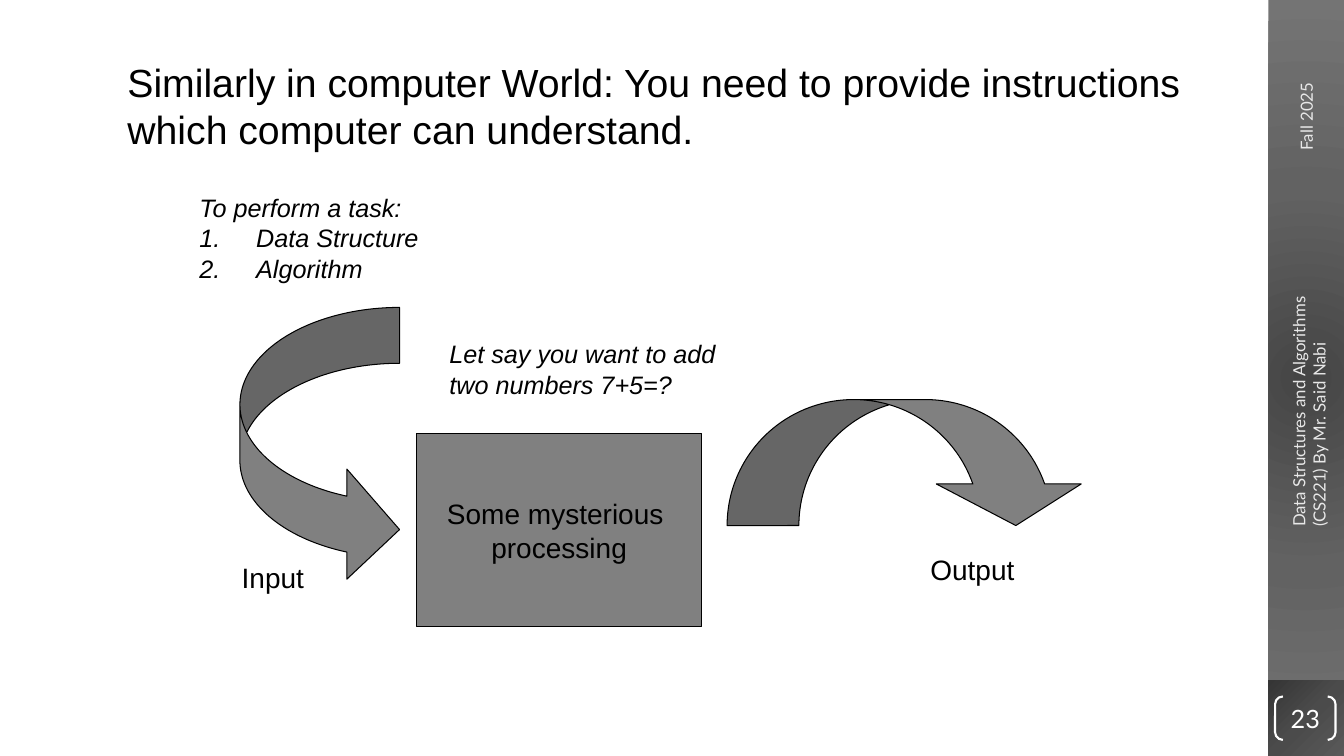
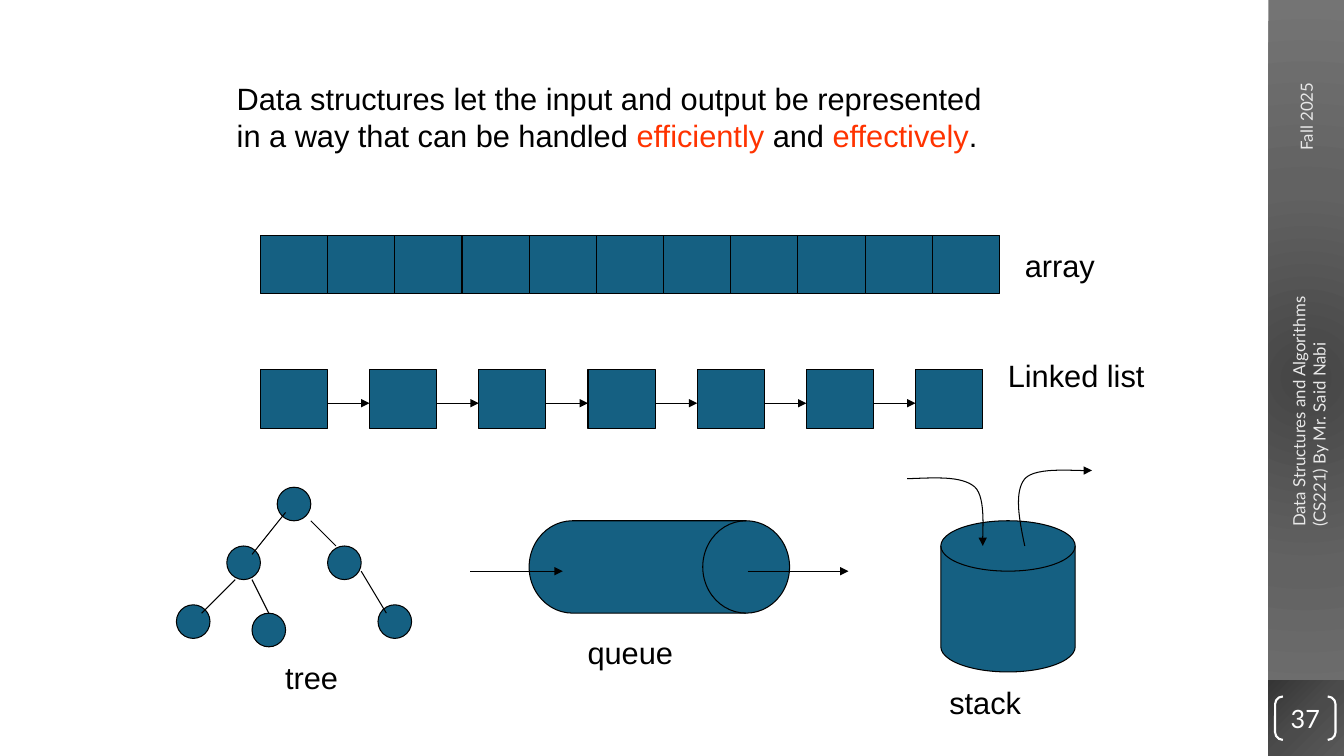
"""Builds two slides on data structures: processing, and the common structures."""
from dataclasses import dataclass
from lxml.etree import SubElement
from pptx import Presentation
from pptx.dml.color import RGBColor
from pptx.enum.shapes import MSO_CONNECTOR, MSO_SHAPE
from pptx.enum.text import MSO_ANCHOR, MSO_AUTO_SIZE, PP_ALIGN
from pptx.oxml import parse_xml
from pptx.oxml.ns import nsdecls, qn
from pptx.util import Pt


@dataclass(frozen=True)
class Theme:
    ink: str = "000000"
    white: str = "FFFFFF"
    pale: str = "E8E8E8"
    gray: str = "808080"
    blue: str = "156082"
    red: str = "FF3300"
    band: tuple = ("454545", "626262", "747474")
    foot: tuple = ("353535", "4B4B4B", "595959")
    body: str = "Arial"
    side: str = "Lato"
    title: int = 28
    lead: int = 22
    label: int = 20
    note: int = 18
    small: int = 12
    thin: float = 0.75
    bold: float = 1.5


theme = Theme()


def draw(page, kind, box, fill=None, line=theme.ink, width=theme.thin, turns=()):
    shape = page.shapes.add_shape(kind, *map(Pt, box))
    shape.shadow.inherit = False
    if fill:
        shape.fill.solid()
        shape.fill.fore_color.rgb = RGBColor.from_string(fill)
    else:
        shape.fill.background()
    if line:
        shape.line.color.rgb = RGBColor.from_string(line)
        shape.line.width = Pt(width)
    else:
        shape.line.fill.background()
    for i, turn in enumerate(turns):
        shape.adjustments[i] = turn
    return shape


def write(page, box, text, size, wrap=False, color=theme.ink, font=theme.body,
          italic=False, align=PP_ALIGN.LEFT, host=None):
    item = host or page.shapes.add_textbox(*map(Pt, box))
    frame = item.text_frame
    frame.text = text
    frame.word_wrap = wrap
    if host:
        frame.vertical_anchor = MSO_ANCHOR.MIDDLE
    else:
        frame.auto_size = MSO_AUTO_SIZE.SHAPE_TO_FIT_TEXT
    for para in frame.paragraphs:
        para.alignment = align
        for run in para.runs:
            run.font.size = Pt(size)
            run.font.name = font
            run.font.italic = italic
            run.font.color.rgb = RGBColor.from_string(color)
    return item


deck = Presentation()
deck.slide_width, deck.slide_height = Pt(960), Pt(540)
blank = deck.slide_layouts[6]
pages = []

for number in ("23", "37"):
    page = deck.slides.add_slide(blank)
    pages.append(page)
    for top, height, shades, focus in (
            (0, 540, theme.band, (50, 50, 50, 50)),
            (486, 54, theme.foot, (0, 0, 100, 100))):
        strip = draw(page, MSO_SHAPE.RECTANGLE, (906, top, 54, height), line=None)
        stops = "".join(
            f'<a:gs pos="{i * 50000}"><a:srgbClr val="{shade}"/></a:gs>'
            for i, shade in enumerate(shades))
        rect = " ".join(f'{side}="{part * 1000}"' for side, part in zip("ltrb", focus))
        props = strip._element.spPr
        props.replace(props.find(qn("a:noFill")), parse_xml(
            f'<a:gradFill {nsdecls("a")} rotWithShape="1"><a:gsLst>{stops}</a:gsLst>'
            f'<a:path path="circle"><a:fillToRect {rect}/></a:path></a:gradFill>'))
    for box, text in (
            ((882, 52.6, 102.2, 21.6), "Fall 2025"),
            ((838.8, 269.3, 192.2, 36),
             "Data Structures and Algorithms\n(CS221) By Mr. Said Nabi")):
        side = write(page, box, text, theme.small, True, theme.pale, theme.side)
        side.rotation = 270
    badge = draw(page, MSO_SHAPE.DOUBLE_BRACKET, (910.8, 497.5, 43.2, 31),
                 None, theme.white, theme.bold, (0.18,))
    write(page, None, number, theme.note, True, theme.white, theme.side,
          align=PP_ALIGN.CENTER, host=badge)
    frame = badge.text_frame
    frame.margin_left = frame.margin_right = frame.margin_top = frame.margin_bottom = 0

task, forms = pages

write(task, (84, 38.2, 792, 75),
      "Similarly in computer World: You need to provide instructions "
      "which computer can understand.", theme.title, True)
steps = write(task, (135.4, 133.9, 177.8, 72.7),
              "To perform a task:\nData Structure\nAlgorithm", theme.note, italic=True)
for para in steps.text_frame.paragraphs[1:]:
    props = para._p.get_or_add_pPr()
    props.set("marL", str(Pt(40.5)))
    props.set("indent", str(-Pt(40.5)))
    SubElement(props, qn("a:buFont"), typeface="+mj-lt")
    SubElement(props, qn("a:buAutoNum"), type="arabicPeriod")
draw(task, MSO_SHAPE.CURVED_RIGHT_ARROW, (171.4, 219.6, 114, 198), theme.gray,
     turns=(0.35, 0.69, 0.33))
draw(task, MSO_SHAPE.CURVED_DOWN_ARROW, (519.4, 285.4, 258, 90), theme.gray,
     turns=(0.57, 1.15, 0.33))
core = draw(task, MSO_SHAPE.RECTANGLE, (297.4, 309.6, 204, 138), theme.gray)
write(task, None, "Some mysterious \nprocessing", theme.label,
      align=PP_ALIGN.CENTER, host=core)
for left, top, width, text in ((165.6, 397, 64, "Input"), (657.4, 391, 84, "Output")):
    write(task, (left, top, width, 31), text, theme.label)
write(task, (313.9, 238.3, 235.4, 51.1),
      "Let say you want to add two numbers 7+5=?", theme.note, True, italic=True)

lead = write(forms, (162, 53.6, 548.6, 59.8),
             "Data structures let the input and output be represented\n"
             "in a way that can be handled ", theme.lead)
last = lead.text_frame.paragraphs[1]
for text, color in (("efficiently", theme.red), (" and ", theme.ink),
                    ("effectively", theme.red), (".", theme.ink)):
    run = last.add_run()
    run.text = text
    run.font.size = Pt(theme.lead)
    run.font.name = theme.body
    run.font.color.rgb = RGBColor.from_string(color)

for count, step, top in ((11, 48, 168), (7, 78, 264)):
    for i in range(count):
        draw(forms, MSO_SHAPE.RECTANGLE, (186 + i * step, top, 48, 42), theme.blue)
for left, top in ((198, 348), (162, 390), (126, 432),
                  (234, 390), (270, 432), (180, 438)):
    draw(forms, MSO_SHAPE.OVAL, (left, top, 24, 24), theme.blue)
draw(forms, MSO_SHAPE.FLOWCHART_DIRECT_ACCESS_STORAGE, (378, 372, 186, 66), theme.blue)
draw(forms, MSO_SHAPE.FLOWCHART_MAGNETIC_DISK, (672, 372, 96, 108), theme.blue)

edges = [(204, 366, 180, 396), (168, 414, 144, 438), (222, 372, 240, 390),
         (258, 408, 276, 438), (180, 414, 192, 438)]
flows = [(234 + i * 78, 288, 264 + i * 78, 288) for i in range(6)]
flows += [(336, 408, 402, 408), (534, 408, 606, 408)]
links = []
for ends in edges + flows:
    link = forms.shapes.add_connector(MSO_CONNECTOR.STRAIGHT, *map(Pt, ends))
    links.append((link, ends in flows))

push = [(648, 342), (667.4, 341.3), (686.9, 339.8), (696.2, 347.8),
        (704.9, 355.7), (701.3, 383), (702, 390)]
pop = [(732, 390), (727.9, 370.8), (724.3, 351.4), (732, 342),
       (740.2, 332.6), (771.8, 337), (780, 336)]
for knots in (push, pop):
    trail = []
    for start in (0, 3):
        a, b, c, d = knots[start:start + 4]
        for t in (i / 16 for i in range(1, 17)):
            u = 1 - t
            trail.append(tuple(
                Pt(u**3 * a[k] + 3 * u * u * t * b[k] + 3 * u * t * t * c[k] + t**3 * d[k])
                for k in (0, 1)))
    pen = forms.shapes.build_freeform(*map(Pt, knots[0]))
    pen.add_line_segments(trail, close=False)
    curve = pen.convert_to_shape()
    curve.fill.background()
    links.append((curve, True))

for link, arrow in links:
    link.line.color.rgb = RGBColor.from_string(theme.ink)
    link.line.width = Pt(theme.thin)
    props = link._element.spPr
    if arrow:
        SubElement(props.find(qn("a:ln")), qn("a:tailEnd"), type="triangle")
    SubElement(props, qn("a:effectLst"))

for left, top, width, text in (
        (725, 172.8, 68, "array"), (712.8, 251.3, 116, "Linked list"),
        (196.6, 467.3, 56, "tree"), (412.6, 449.3, 80, "queue"),
        (671, 485, 70, "stack")):
    write(forms, (left, top, width, 33.8), text, theme.lead)

deck.save("out.pptx")
